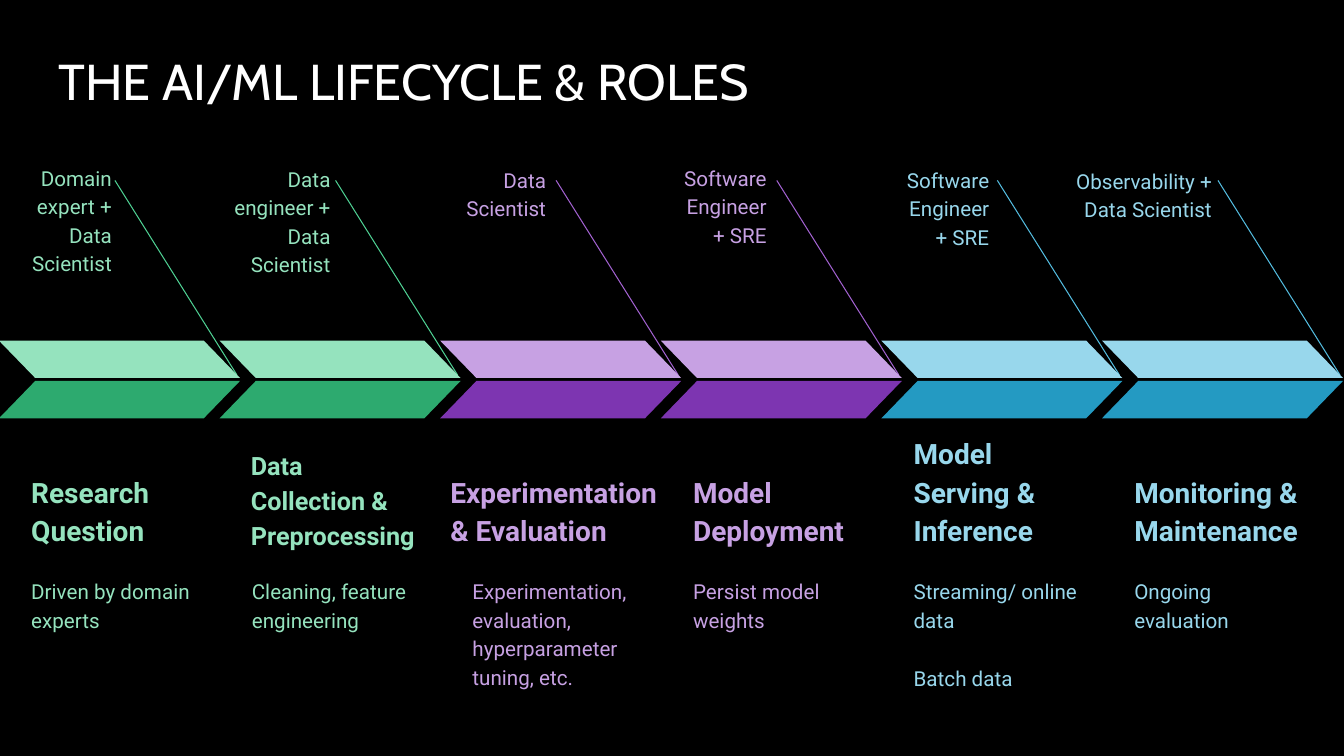
from dataclasses import dataclass

from lxml.etree import SubElement
from pptx import Presentation
from pptx.dml.color import RGBColor
from pptx.enum.shapes import MSO_CONNECTOR, MSO_SHAPE
from pptx.enum.text import MSO_ANCHOR, MSO_AUTO_SIZE, PP_ALIGN
from pptx.oxml.ns import qn
from pptx.util import Inches, Pt

COLORS = {
    "background": "000000", "title": "FFFFFF",
    "green_light": "95E3BE", "green_dark": "2DAA6F", "green_line": "4FD093",
    "purple_light": "C7A1E3", "purple_dark": "7D35B1", "purple_line": "A262D0",
    "blue_light": "98D7EC", "blue_dark": "249AC2", "blue_line": "54BCDF",
}
STAGE_LEFT, STAGE_TOP, STAGE_PITCH = -0.01, 1.79, 2.188
CHEVRON_WIDTH, HALF_HEIGHT, HALF_PITCH = 2.39, 0.37, 0.4
TEXT_WIDTH, INSET = 1.97, 0.13


@dataclass
class Stage:
    """Role and heading boxes are (left, top, width, height), relative to the stage."""
    hue: str
    role: str
    role_box: tuple
    heading: str
    details: list
    heading_box: tuple = (0.19, 2.61, TEXT_WIDTH, 1.16)
    heading_size: float = 20


STAGES = [
    Stage("green", "Domain expert + Data Scientist", (-0.02, -0.31, 1.27, 1.72),
          "Research Question", ["Driven by domain experts"]),
    Stage("green", "Data engineer + Data Scientist", (-0.04, -0.3, 1.27, 1.83),
          "Data Collection & Preprocessing", ["Cleaning, feature engineering"],
          (0.18, 2.56, TEXT_WIDTH, 1.24), 18),
    Stage("purple", "Data Scientist", (-0.09, -0.29, 1.27, 1.92),
          "Experimentation & Evaluation",
          ["Experimentation, evaluation, hyperparameter tuning, etc."],
          (-0.03, 2.61, 2.39, 1.16)),
    Stage("purple", "Software Engineer + SRE", (-0.03, -0.31, 1.21, 1.85),
          "Model Deployment", ["Persist model weights"]),
    Stage("blue", "Software Engineer + SRE", (-0.01, -0.29, 1.21, 1.92),
          "Model Serving & Inference", ["Streaming/ online data", "Batch data"]),
    Stage("blue", "Observability + Data Scientist", (-0.42, -0.28, 1.64, 1.92),
          "Monitoring & Maintenance", ["Ongoing evaluation"]),
]


def color(name):
    return RGBColor.from_string(COLORS[name])


def fill_frame(frame, texts, font, size, color_name, bold=False,
               align=PP_ALIGN.LEFT, anchor=MSO_ANCHOR.TOP, line_spacing=1.15):
    frame.word_wrap = True
    frame.auto_size = MSO_AUTO_SIZE.NONE
    frame.vertical_anchor = anchor
    frame.margin_left = frame.margin_right = Inches(INSET)
    frame.margin_top = frame.margin_bottom = Inches(INSET)
    for index, text in enumerate(texts):
        para = frame.paragraphs[0] if index == 0 else frame.add_paragraph()
        para.alignment = align
        para.line_spacing = line_spacing
        para.space_before = Pt(21.3 if index else 0)
        span = para.add_run()
        span.text = text
        span.font.name = font
        span.font.size = Pt(size)
        span.font.bold = bold
        span.font.color.rgb = color(color_name)


def add_text(page, box, texts, size, color_name, **style):
    shape = page.shapes.add_textbox(*map(Inches, box))
    fill_frame(shape.text_frame, texts, "Roboto", size, color_name, **style)


def add_title(page, box, text):
    title = page.shapes.title
    title.left, title.top, title.width, title.height = map(Inches, box)
    fill_frame(title.text_frame, [text], "Cabin", 36, "title", line_spacing=0.9)


def add_leader(page, left, top, color_name):
    """Draw the slanted line from a role down to the tip of its chevron."""
    line = page.shapes.add_connector(
        MSO_CONNECTOR.STRAIGHT, Inches(left), Inches(top),
        Inches(left + 1.21), Inches(top + 1.93))
    line.line.color.rgb = color(color_name)
    line.line.width = Pt(0.75)
    SubElement(line._element.spPr, qn("a:effectLst"))


def add_chevron(page, left, top, hue):
    """Build a chevron from a mirrored light half above a dark half."""
    for row, shade in enumerate(("light", "dark")):
        half = page.shapes.add_shape(
            MSO_SHAPE.PARALLELOGRAM, Inches(left), Inches(top + row * HALF_PITCH),
            Inches(CHEVRON_WIDTH), Inches(HALF_HEIGHT))
        half.adjustments[0] = 0.97
        half.shadow.inherit = False
        half.fill.solid()
        half.fill.fore_color.rgb = color(f"{hue}_{shade}")
        half.line.fill.background()
        if shade == "light":
            half._element.spPr.find(qn("a:xfrm")).set("flipH", "1")


def add_stage(page, left, top, stage):
    def place(box):
        return left + box[0], top + box[1], box[2], box[3]

    text_color = f"{stage.hue}_light"
    add_leader(page, left + 1.15, top, f"{stage.hue}_line")
    add_chevron(page, left, top + 1.59, stage.hue)
    add_text(page, place(stage.heading_box), [stage.heading], stage.heading_size,
             text_color, bold=True, anchor=MSO_ANCHOR.BOTTOM)
    add_text(page, place((0.19, 3.79, TEXT_WIDTH, 1.92)), stage.details, 14.7, text_color)
    add_text(page, place(stage.role_box), [stage.role], 14.7, text_color,
             align=PP_ALIGN.RIGHT)


def main():
    deck = Presentation()
    deck.slide_width, deck.slide_height = Inches(13.33), Inches(7.5)
    page = deck.slides.add_slide(deck.slide_layouts[5])
    page.background.fill.solid()
    page.background.fill.fore_color.rgb = color("background")
    add_title(page, (0.45, 0.44, 12.42, 0.84), "THE AI/ML LIFECYCLE & ROLES")
    for index, stage in enumerate(STAGES):
        add_stage(page, STAGE_LEFT + index * STAGE_PITCH, STAGE_TOP, stage)
    deck.save("out.pptx")


if __name__ == "__main__":
    main()
